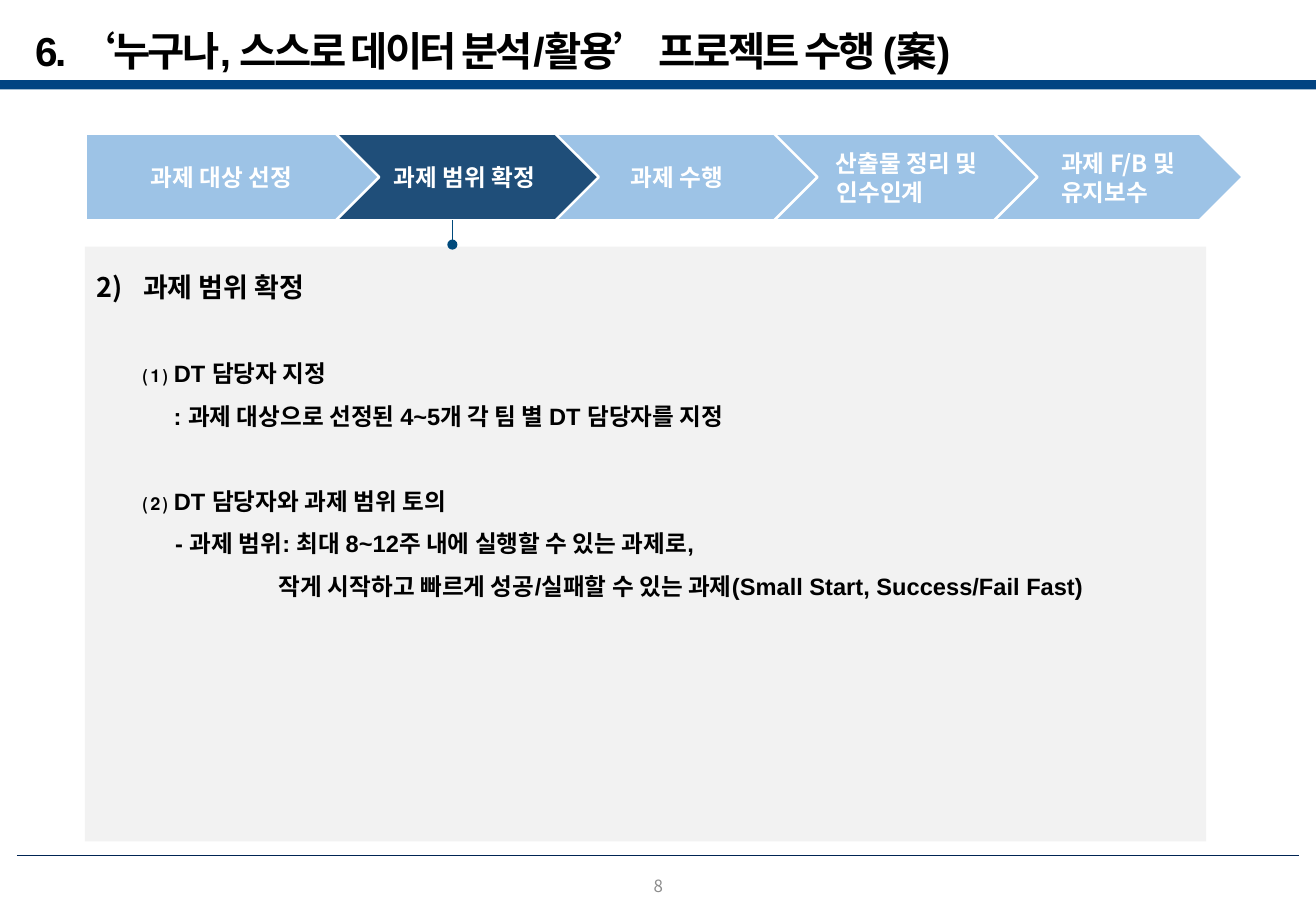
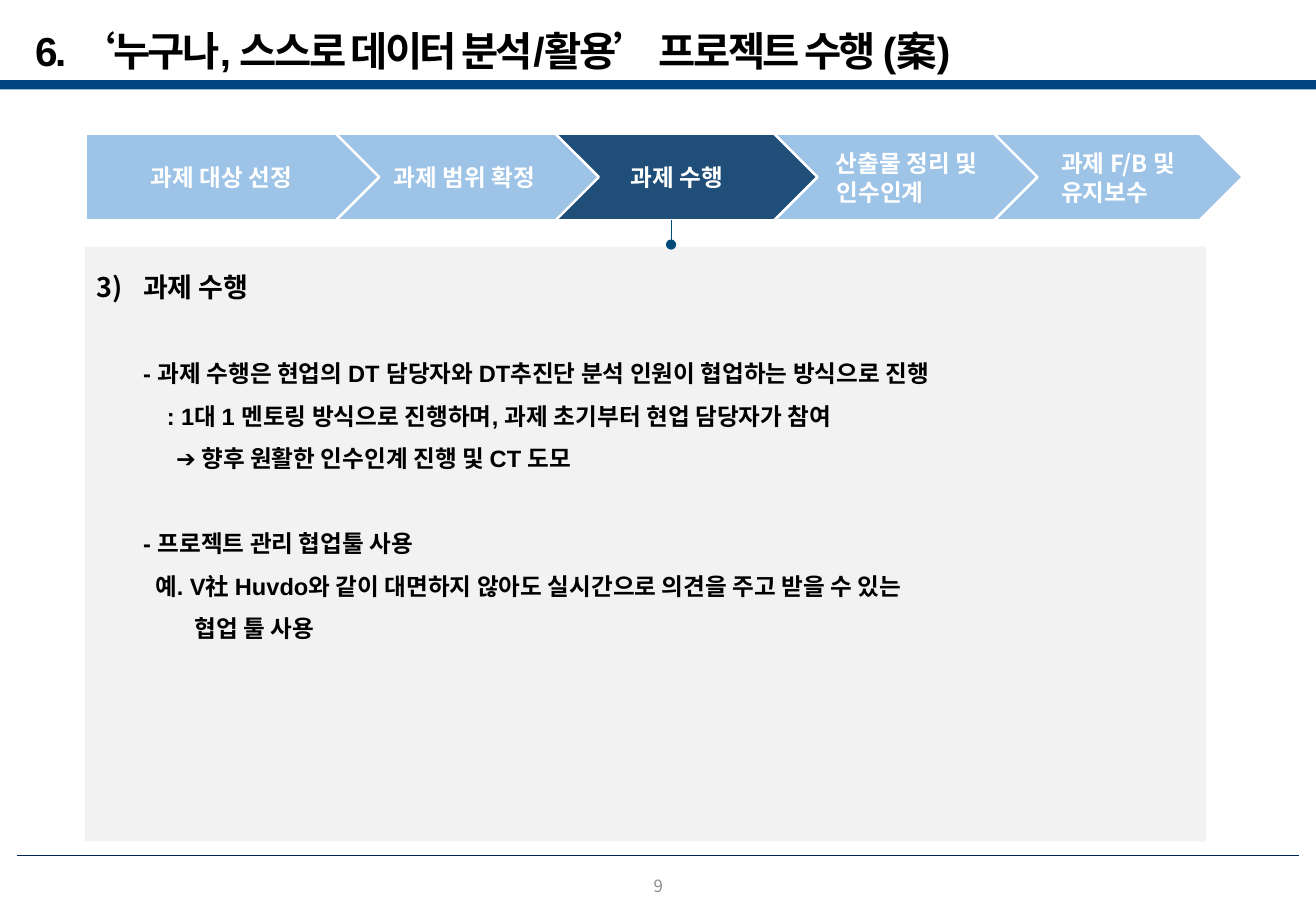
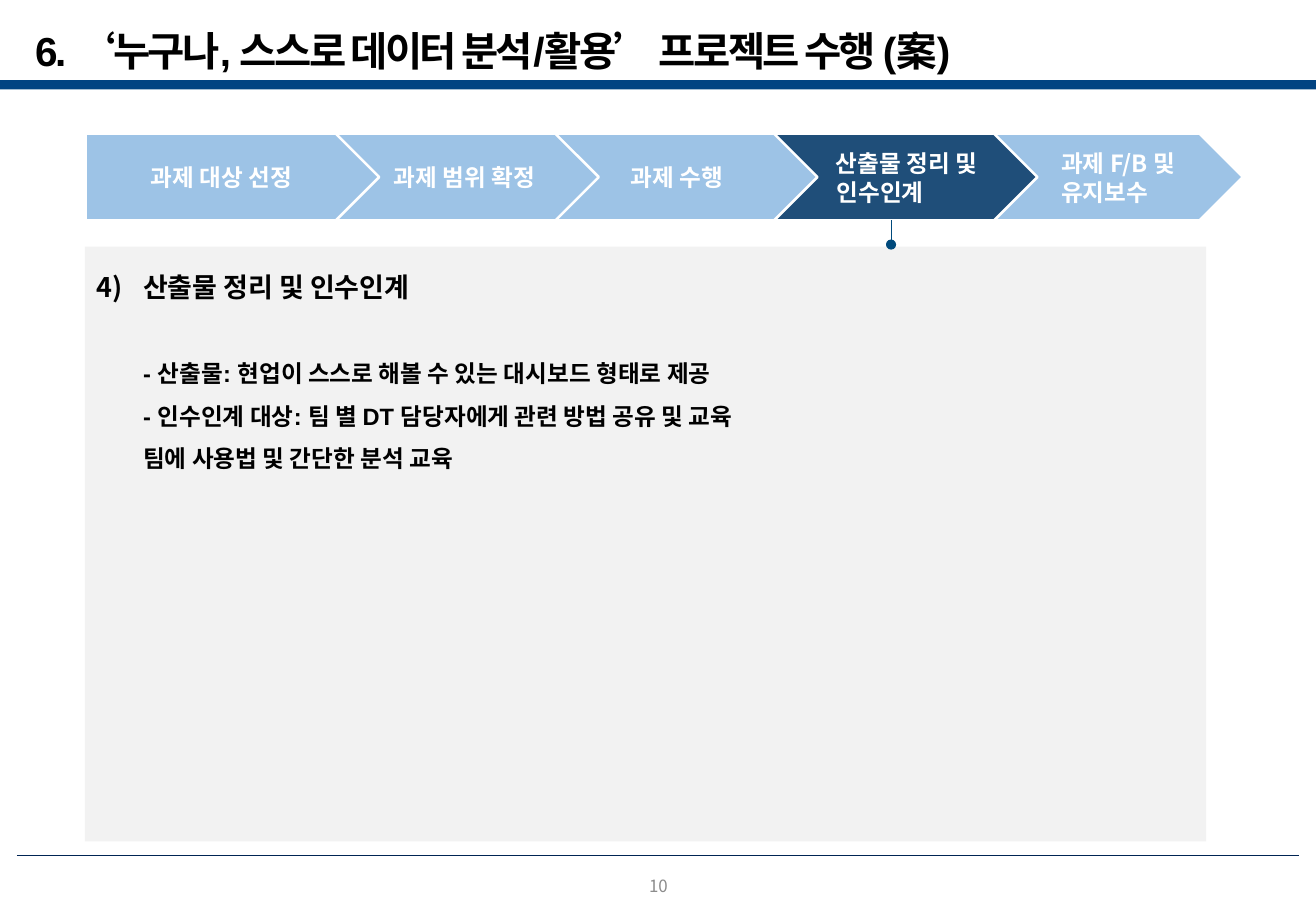
from dataclasses import dataclass

from lxml import etree
from pptx import Presentation
from pptx.dml.color import RGBColor
from pptx.enum import shapes, text
from pptx.oxml import ns
from pptx.util import Pt

HUE = {
    "ink": "000000", "white": "FFFFFF", "band": "024482", "rule": "002453",
    "page": "8C8C8C", "step": "9DC3E6", "active": "1F4E79",
    "panel": "F2F2F2", "pin": "004A7C",
}
LATIN, KOREAN = "Arial", "Noto Sans CJK KR"
TITLE = "6. ‘누구나, 스스로 데이터 분석/활용’ 프로젝트 수행 (案)"
WIDE, HIGH = 780, 540
TOP, TALL = 79.2, 51.5
EDGE, PITCH = 27.4, 25.2


@dataclass
class Label:
    text: str
    shift: float = 0


@dataclass
class Step:
    left: float
    width: float
    labels: list[Label]


@dataclass
class Line:
    text: str
    shift: float = 0
    gap: bool = False


@dataclass
class Page:
    number: int
    step: int
    head: str
    lines: list[Line]


STEPS = [
    Step(50.8, 174, [Label("과제 대상 선정")]),
    Step(181.4, 173.5, [Label("과제 범위 확정", 27)]),
    Step(311, 173.5, [Label("과제 수행", 19.5)]),
    Step(441.4, 173.5, [Label("산출물 정리 및 인수인계", 31)]),
    Step(558.7, 178, [Label("과제 F/B 및", 43), Label("유지보수", 27)]),
]

PAGES = [
    Page(8, 2, "과제 범위 확정", [
        Line("⑴ DT 담당자 지정", gap=True),
        Line(": 과제 대상으로 선정된 4~5개 각 팀 별 DT 담당자를 지정", 18),
        Line("⑵ DT 담당자와 과제 범위 토의", gap=True),
        Line("- 과제 범위: 최대 8~12주 내에 실행할 수 있는 과제로,", 19),
        Line("작게 시작하고 빠르게 성공/실패할 수 있는 과제"
             "(Small Start, Success/Fail Fast)", 80.5),
    ]),
    Page(9, 3, "과제 수행", [
        Line("- 과제 수행은 현업의 DT 담당자와 DT추진단 분석 인원이 "
             "협업하는 방식으로 진행", gap=True),
        Line(": 1대 1 멘토링 방식으로 진행하며, 과제 초기부터 현업 담당자가 참여", 14),
        Line("➔ 향후 원활한 인수인계 진행 및 CT 도모", 19.5),
        Line("- 프로젝트 관리 협업툴 사용", gap=True),
        Line("예. V社 Huvdo와 같이 대면하지 않아도 실시간으로 의견을 "
             "주고 받을 수 있는", 7),
        Line("협업 툴 사용", 30.5),
    ]),
    Page(10, 4, "산출물 정리 및 인수인계", [
        Line("- 산출물: 현업이 스스로 해볼 수 있는 대시보드 형태로 제공", gap=True),
        Line("- 인수인계 대상: 팀 별 DT 담당자에게 관련 방법 공유 및 교육"),
        Line("팀에 사용법 및 간단한 분석 교육"),
    ]),
]


def tint(name: str) -> RGBColor:
    return RGBColor.from_string(HUE[name])


def style(para, size: float, hue: str, face: str = LATIN,
          bold: bool = True, pitch: float | None = None,
          align=text.PP_ALIGN.LEFT):
    font = para.font
    font.name, font.size, font.bold = face, Pt(size), bold
    font.color.rgb = tint(hue)
    para.alignment = align
    if pitch:
        para.line_spacing = Pt(pitch)
    props = para._p.get_or_add_pPr().find(ns.qn("a:defRPr"))
    latin = props.find(ns.qn("a:latin"))
    east = etree.Element(ns.qn("a:ea"), typeface=KOREAN)
    latin.addnext(east)
    return props


def indent(para, margin: float, first: float) -> None:
    props = para._p.get_or_add_pPr()
    props.set("marL", str(int(Pt(margin))))
    props.set("indent", str(int(Pt(first))))


def number(para, start: int) -> None:
    mark = etree.Element(ns.qn("a:buAutoNum"), type="arabicParenR",
                         startAt=str(start))
    para._p.get_or_add_pPr().find(ns.qn("a:defRPr")).addprevious(mark)


def paras(frame, count: int):
    for _ in range(count - 1):
        frame.add_paragraph()
    return frame.paragraphs


def block(slide, kind, left: float, top: float, width: float, height: float,
          fill: str, edge: str | None = None, weight: float = 1):
    shape = slide.shapes.add_shape(kind, Pt(left), Pt(top), Pt(width), Pt(height))
    shape.shadow.inherit = False
    shape.fill.solid()
    shape.fill.fore_color.rgb = tint(fill)
    if edge:
        shape.line.color.rgb = tint(edge)
        shape.line.width = Pt(weight)
    else:
        shape.line.fill.background()
    return shape


def rule(slide, x1: float, y1: float, x2: float, y2: float, hue: str):
    line = slide.shapes.add_connector(
        shapes.MSO_CONNECTOR.STRAIGHT, Pt(x1), Pt(y1), Pt(x2), Pt(y2))
    line.line.color.rgb = tint(hue)
    line.line.width = Pt(0.5)
    etree.SubElement(line._element.spPr, ns.qn("a:effectLst"))
    return line


def frame(slide, page: int) -> None:
    rule(slide, 10, 507, 770, 507, "rule")
    block(slide, shapes.MSO_SHAPE.RECTANGLE, 0, 47.5, WIDE, 5.5, "band")
    box = slide.shapes.add_textbox(Pt(302.4), Pt(517), Pt(175.6), Pt(16.6))
    body = box.text_frame
    body.word_wrap = True
    body.vertical_anchor = text.MSO_ANCHOR.MIDDLE
    body.margin_top = body.margin_bottom = 0
    body.text = str(page)
    style(body.paragraphs[0], 10, "page", KOREAN, False,
          align=text.PP_ALIGN.CENTER)


def title(slide) -> None:
    head = slide.shapes.title
    head.left, head.top = Pt(13.7), Pt(17)
    head.width, head.height = Pt(680), Pt(28)
    body = head.text_frame
    body.text = TITLE
    body.word_wrap = True
    body.auto_size = text.MSO_AUTO_SIZE.NONE
    body.vertical_anchor = text.MSO_ANCHOR.MIDDLE
    body.margin_top = body.margin_bottom = 0
    style(body.paragraphs[0], 24, "ink", pitch=26).set("spc", "-150")


def steps(slide, active: int) -> None:
    for order, step in reversed(list(enumerate(STEPS, 1))):
        fill = "active" if order == active else "step"
        arrow = block(slide, shapes.MSO_SHAPE.PENTAGON, step.left, TOP,
                      step.width, TALL, fill, "white", 1.5)
        body = arrow.text_frame
        body.word_wrap = True
        body.vertical_anchor = text.MSO_ANCHOR.MIDDLE
        for para, label in zip(paras(body, len(step.labels)), step.labels):
            para.text = label.text
            style(para, 14, "white", KOREAN, pitch=17,
                  align=text.PP_ALIGN.CENTER)
            indent(para, 0, label.shift)


def panel(slide, page: Page) -> None:
    box = block(slide, shapes.MSO_SHAPE.RECTANGLE, 50.4, 146.2, 664.6, 352.6,
                "panel")
    body = box.text_frame
    body.word_wrap = True
    body.vertical_anchor = text.MSO_ANCHOR.TOP
    head, *rest = paras(body, len(page.lines) + 1)
    head.text = page.head
    style(head, 16, "ink", pitch=29.5)
    indent(head, EDGE, -EDGE)
    number(head, page.step)
    for para, line in zip(rest, page.lines):
        para.text = line.text
        style(para, 14, "ink", pitch=PITCH)
        para.space_before = Pt(PITCH if line.gap else 0)
        indent(para, EDGE + line.shift, 0)


def pin(slide, active: int) -> None:
    step = STEPS[active - 1]
    mid, size = step.left + step.width / 2, 5
    dot = block(slide, shapes.MSO_SHAPE.OVAL, mid - size / 2, 142.5, size, size,
                "pin", "pin")
    stem = rule(slide, mid, TOP + TALL, mid, 142.5, "pin")
    stem.end_connect(dot, 0)


def main() -> None:
    deck = Presentation()
    deck.slide_width, deck.slide_height = Pt(WIDE), Pt(HIGH)
    for page in PAGES:
        slide = deck.slides.add_slide(deck.slide_layouts[5])
        frame(slide, page.number)
        steps(slide, page.step)
        panel(slide, page)
        pin(slide, page.step)
        title(slide)
    deck.save("out.pptx")


if __name__ == "__main__":
    main()
